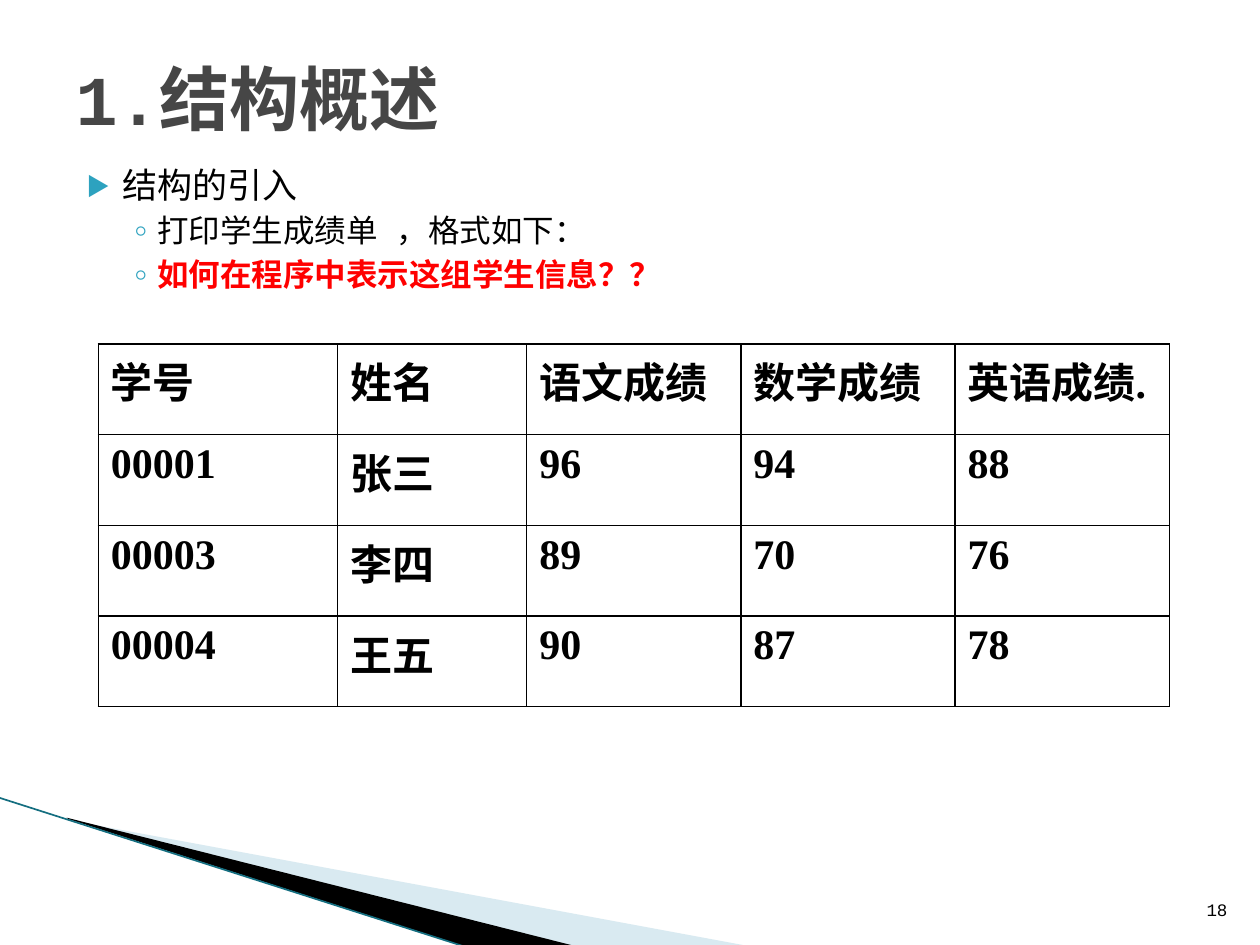
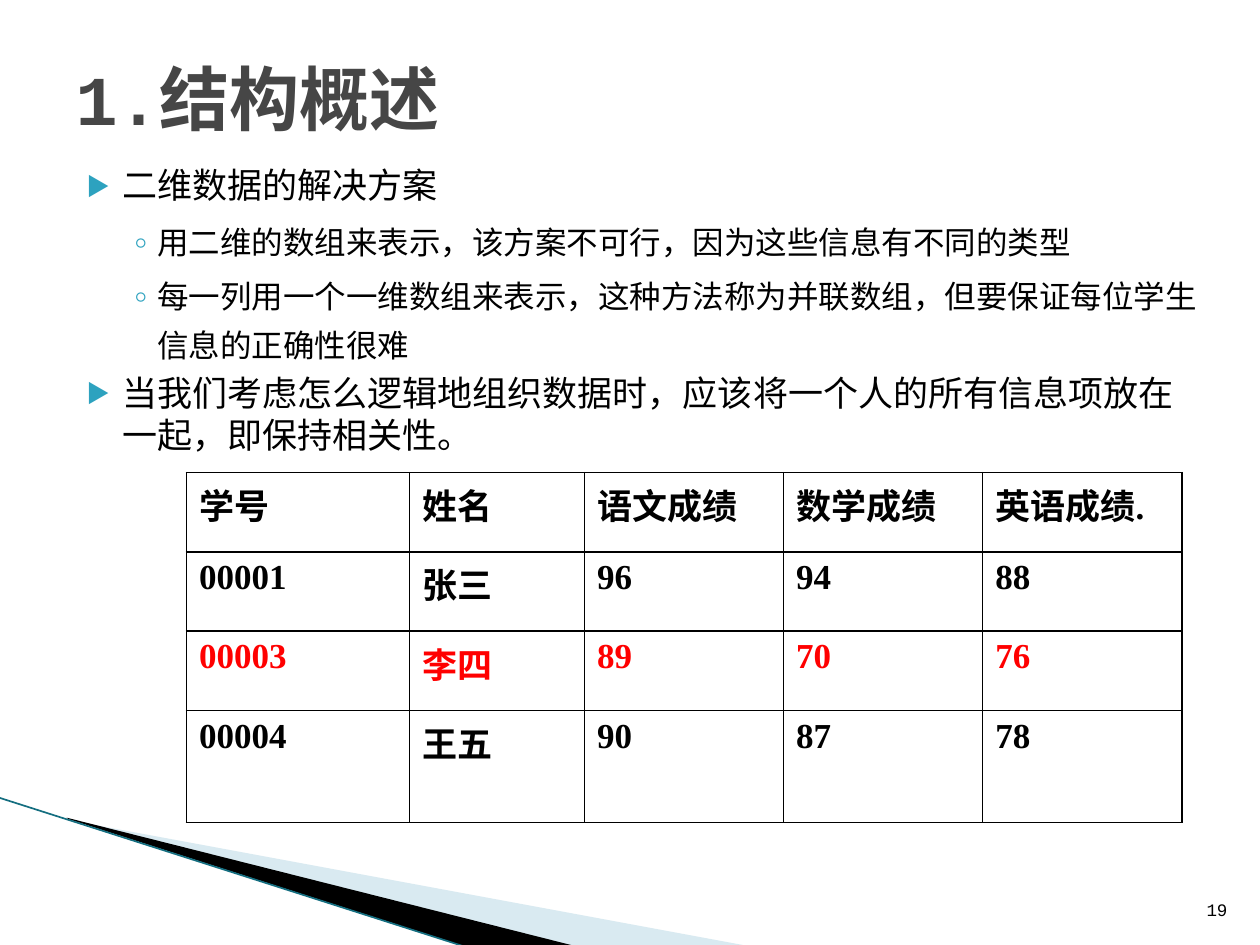
from lxml import etree
from pptx import Presentation, util as u
from pptx.dml.color import RGBColor
from pptx.enum import shapes, text
from pptx.oxml.ns import qn

BLACK, RED, GREY, TEAL = "000000", "FF0000", "464646", "2DA2BF"
PALE, EDGE = "A0CBDC", "146E80"
MONO, SERIF, CJK = "Courier New", "Times New Roman", "Noto Sans CJK SC"

TITLE = "1.结构概述"
SCORES = [
    ["学号", "姓名", "语文成绩", "数学成绩", "英语成绩."],
    ["00001", "张三", "96", "94", "88"],
    ["00003", "李四", "89", "70", "76"],
    ["00004", "王五", "90", "87", "78"],
]
# Per outline level: left margin, hanging indent, size, space before, bullet, bullet %
LEVELS = [
    (0.4, -0.28, 20, 4, "▶", 68),
    (0.68, -0.25, 18, 3.2, "◦", 100),
]


def rgb(color):
    return RGBColor.from_string(color)


def add_xml(parent, tag, **attributes):
    return etree.SubElement(parent, qn(tag), **attributes)


def write(para, content, size=18, font=MONO, east=MONO, color=BLACK, bold=False):
    span = para.add_run()
    span.text = content
    span.font.size = u.Pt(size)
    span.font.name = font
    span.font.bold = bold
    span.font.color.rgb = rgb(color)
    add_xml(span.font._element, "a:ea", typeface=east)


def add_box(page, left, top, width, height):
    box = page.shapes.add_textbox(*map(u.Inches, (left, top, width, height)))
    box.text_frame.word_wrap = True
    return box.text_frame


def add_wedge(page, points, color, alpha=None):
    start, *rest = [(u.Inches(x), u.Inches(y)) for x, y in points]
    builder = page.shapes.build_freeform(*start)
    builder.add_line_segments(rest, close=True)
    wedge = builder.convert_to_shape()
    wedge.shadow.inherit = False
    wedge.line.fill.background()
    wedge.fill.solid()
    wedge.fill.fore_color.rgb = rgb(color)
    if alpha:
        fill = wedge._element.spPr.find(qn("a:solidFill"))
        add_xml(fill[0], "a:alpha", val=str(alpha * 1000))


def add_corner(page):
    """Draw the swoosh in the lower left corner."""
    add_wedge(page, [(0.55, 6.51), (5.95, 7.51), (4.56, 7.51), (0.55, 6.5)], PALE, 40)
    add_wedge(page, [(0.53, 6.49), (4.57, 7.51), (3.72, 7.52), (0.54, 6.5)], BLACK)
    ends = map(u.Inches, (-0.01, 6.33, 3.71, 7.52))
    edge = page.shapes.add_connector(shapes.MSO_CONNECTOR.STRAIGHT, *ends)
    edge.line.color.rgb = rgb(EDGE)
    edge.line.width = u.Pt(0.95)
    add_xml(edge._element.spPr, "a:effectLst")


def set_title(page, content):
    title = page.shapes.title
    title.left, title.top = u.Inches(0.5), u.Inches(0.3)
    title.width, title.height = u.Inches(9), u.Inches(0.95)
    frame = title.text_frame
    frame.vertical_anchor = text.MSO_ANCHOR.MIDDLE
    para = frame.paragraphs[0]
    para.alignment = text.PP_ALIGN.LEFT
    write(para, content, size=40, color=GREY, bold=True)


def add_page(deck, number):
    page = deck.slides.add_slide(deck.slide_layouts[5])
    add_corner(page)
    set_title(page, TITLE)
    frame = add_box(page, 7.27, 6.95, 2.57, 0.4)
    frame.vertical_anchor = text.MSO_ANCHOR.BOTTOM
    frame.paragraphs[0].alignment = text.PP_ALIGN.RIGHT
    write(frame.paragraphs[0], str(number), size=10)
    return page


def add_outline(page, height, items):
    """Add bulleted text from (level, content, format, line spacing) items."""
    frame = add_box(page, 0.47, 1.25, 9.22, height)
    for index, (level, content, look, spacing) in enumerate(items):
        margin, indent, size, before, bullet, percent = LEVELS[level]
        para = frame.add_paragraph() if index else frame.paragraphs[0]
        para.level = level
        if spacing:
            para.line_spacing = spacing
        if index:
            para.space_before = u.Pt(before)
        props = para._p.get_or_add_pPr()
        props.set("marL", str(u.Inches(margin)))
        props.set("indent", str(u.Inches(indent)))
        add_xml(add_xml(props, "a:buClr"), "a:srgbClr", val=TEAL)
        add_xml(props, "a:buSzPct", val=str(percent * 1000))
        add_xml(props, "a:buFont", typeface=CJK)
        add_xml(props, "a:buChar", char=bullet)
        write(para, content, size=size, **look)


def set_borders(cell):
    props = cell._tc.get_or_add_tcPr()
    for index, side in enumerate(("a:lnL", "a:lnR", "a:lnT", "a:lnB")):
        line = etree.Element(qn(side), w=str(u.Pt(1)))
        add_xml(add_xml(line, "a:solidFill"), "a:srgbClr", val=BLACK)
        props.insert(index, line)


def add_scores(page, left, top, widths, heights, size, marked_row=None):
    area = map(u.Inches, (left, top, sum(widths), sum(heights)))
    table = page.shapes.add_table(len(heights), len(widths), *area).table
    for column, width in zip(table.columns, widths):
        column.width = u.Inches(width)
    for index, (row, height, values) in enumerate(zip(table.rows, heights, SCORES)):
        row.height = u.Inches(height)
        color = RED if index == marked_row else BLACK
        for cell, value in zip(row.cells, values):
            cell.fill.background()
            set_borders(cell)
            write(cell.text_frame.paragraphs[0], value, size=size, font=SERIF,
                  east=CJK, color=color, bold=True)


def main():
    deck = Presentation()
    deck.slide_width, deck.slide_height = u.Inches(10), u.Inches(7.5)

    page = add_page(deck, 18)
    add_outline(page, 5.31, [
        (0, "结构的引入", {}, None),
        (1, "打印学生成绩单 ，格式如下：", {}, None),
        (1, "如何在程序中表示这组学生信息？？", {"color": RED, "bold": True}, None),
    ])
    add_scores(page, 0.78, 2.73, [1.9, 1.5] + [1.7] * 3, [0.72] * 4, 24)

    page = add_page(deck, 19)
    wide = {"font": CJK}
    add_outline(page, 4.92, [
        (0, "二维数据的解决方案", {}, None),
        (1, "用二维的数组来表示，该方案不可行，因为这些信息有不同的类型", wide, 1.3),
        (1, "每一列用一个一维数组来表示，这种方法称为并联数组，"
            "但要保证每位学生信息的正确性很难", wide, 1.3),
        (0, "当我们考虑怎么逻辑地组织数据时，应该将一个人的所有信息项放在一起，"
            "即保持相关性。", wide, None),
    ])
    add_scores(page, 1.48, 3.75, [1.77, 1.39] + [1.58] * 3, [0.63] * 3 + [0.89], 20,
               marked_row=2)
    deck.save("out.pptx")


if __name__ == "__main__":
    main()
